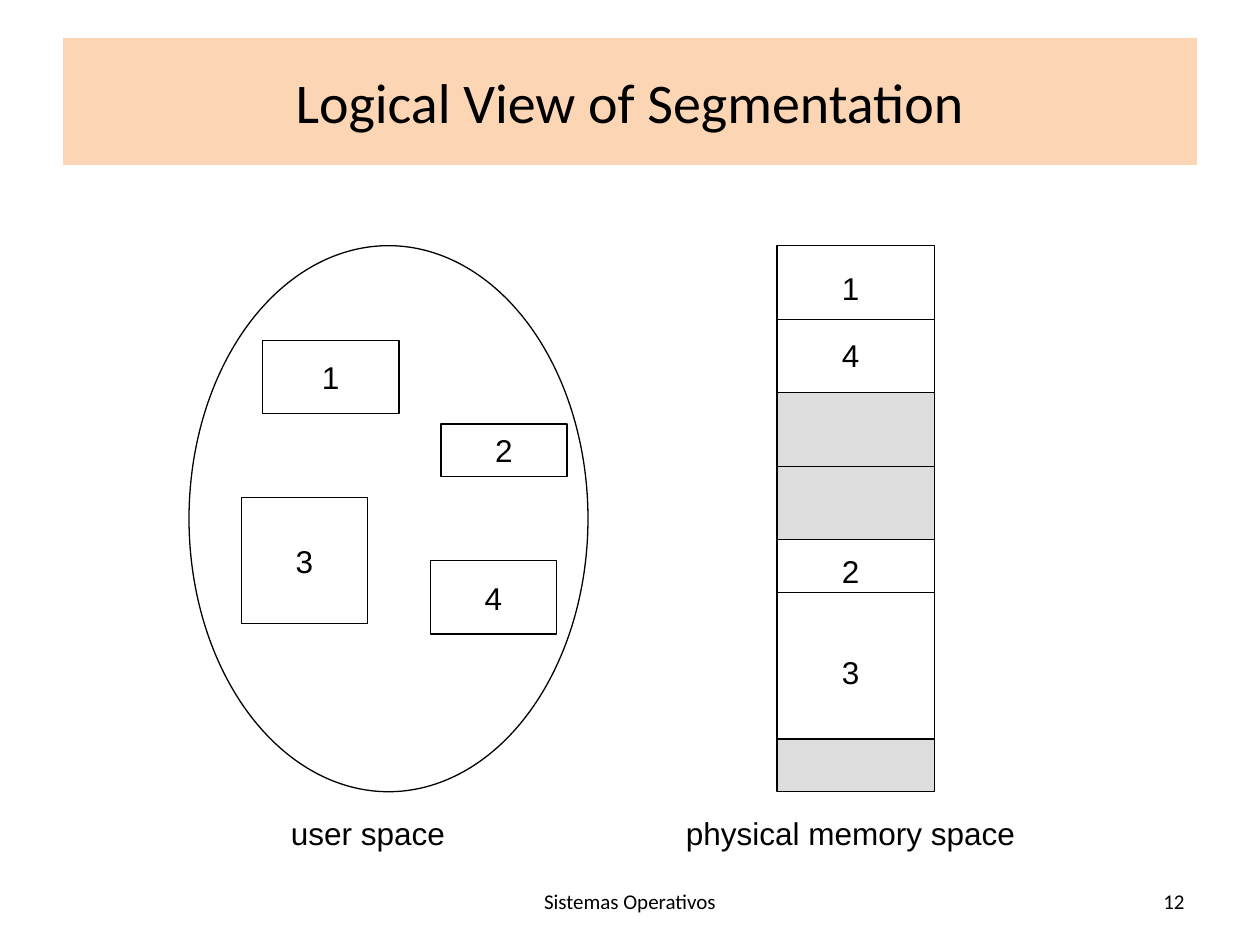
import pptx
import pptx.util
import pptx.dml.color
import pptx.enum.shapes
import pptx.enum.text
import lxml.etree

COLORS = {"ink": "000000", "paper": "FFFFFF", "free": "DDDDDD", "banner": "FCD5B5"}
SHAPES = pptx.enum.shapes.MSO_SHAPE
ALIGN = pptx.enum.text.PP_ALIGN
FIT = pptx.enum.text.MSO_AUTO_SIZE

deck = pptx.Presentation()
deck.slide_width = pptx.util.Inches(10)
deck.slide_height = pptx.util.Inches(7.5)
col = deck.slide_width / 120
row = deck.slide_height / 90
slide = deck.slides.add_slide(deck.slide_layouts[5])


def write(holder, text, size, font, align=ALIGN.CENTER, wrap=False):
    frame = holder.text_frame
    frame.text = text
    frame.word_wrap = wrap
    frame.vertical_anchor = pptx.enum.text.MSO_ANCHOR.MIDDLE
    paragraph = frame.paragraphs[0]
    paragraph.alignment = align
    paragraph.font.size = pptx.util.Pt(size)
    paragraph.font.name = font
    paragraph.font.color.rgb = pptx.dml.color.RGBColor.from_string(COLORS["ink"])


def draw(parent, kind, x, y, width, height, fill):
    block = parent.shapes.add_shape(
        kind, int(x * col), int(y * row), int(width * col), int(height * row))
    block.shadow.inherit = False
    block.fill.solid()
    block.fill.fore_color.rgb = pptx.dml.color.RGBColor.from_string(COLORS[fill])
    block.line.color.rgb = pptx.dml.color.RGBColor.from_string(COLORS["ink"])
    block.line.width = pptx.util.Pt(0.75)
    return block


title = slide.shapes.title
title.left, title.top = int(6 * col), int(3.6 * row)
title.width, title.height = int(108 * col), int(12.1 * row)
title.fill.solid()
title.fill.fore_color.rgb = pptx.dml.color.RGBColor.from_string(COLORS["banner"])
write(title, "Logical View of Segmentation", 32, "Calibri", wrap=True)

for text, x, width, align in [("Sistemas Operativos", 41, 38, ALIGN.CENTER),
                              ("12", 86, 28, ALIGN.RIGHT)]:
    footer = slide.shapes.add_textbox(
        int(x * col), int(83.4 * row), int(width * col), int(4.8 * row))
    write(footer, text, 12, "Calibri", align, wrap=True)

top = 23.4
draw(slide, SHAPES.OVAL, 18, top, 38, 52, "paper")
for number, x, y, width, height in [("1", 25, 9, 13, 7), ("3", 23, 24, 12, 12),
                                    ("2", 42, 17, 12, 5), ("4", 41, 30, 12, 7)]:
    segment = draw(slide, SHAPES.RECTANGLE, x, top + y, width, height, "paper")
    write(segment, number, 18, "Arial")

memory = slide.shapes.add_group_shape()
memory_left, memory_width = 74, 15
region_top = top
for height, fill, split in [(14, "paper", 7), (14, "free", 7),
                            (19, "paper", 5), (5, "free", None)]:
    region = draw(memory, SHAPES.RECTANGLE, memory_left, region_top,
                  memory_width, height, fill)
    if split:
        y = int((region_top + split) * row)
        border = memory.shapes.add_connector(
            pptx.enum.shapes.MSO_CONNECTOR.STRAIGHT, int(memory_left * col), y,
            int((memory_left + memory_width) * col), y)
        border.line.color.rgb = pptx.dml.color.RGBColor.from_string(COLORS["ink"])
        border.line.width = pptx.util.Pt(0.75)
        lxml.etree.SubElement(border.line._get_or_add_ln().getparent(),
                              pptx.oxml.ns.qn("a:effectLst"))
        if split * 2 == height:
            border.begin_connect(region, 1)
            border.end_connect(region, 3)
    region_top += height

for parent, text, x, y, width in [(memory, "1", 79, 1.6, 4), (memory, "4", 79, 8, 4),
                                  (memory, "2", 79, 28.6, 4), (memory, "3", 79, 38.2, 4),
                                  (slide, "user space ", 26.4, 53.5, 18.1),
                                  (slide, "physical memory space", 64, 53.5, 34)]:
    label = parent.shapes.add_textbox(
        int(x * col), int((top + y) * row), int(width * col), int(4.8 * row))
    write(label, text, 18, "Arial")
    label.text_frame.auto_size = FIT.SHAPE_TO_FIT_TEXT

deck.save("out.pptx")
